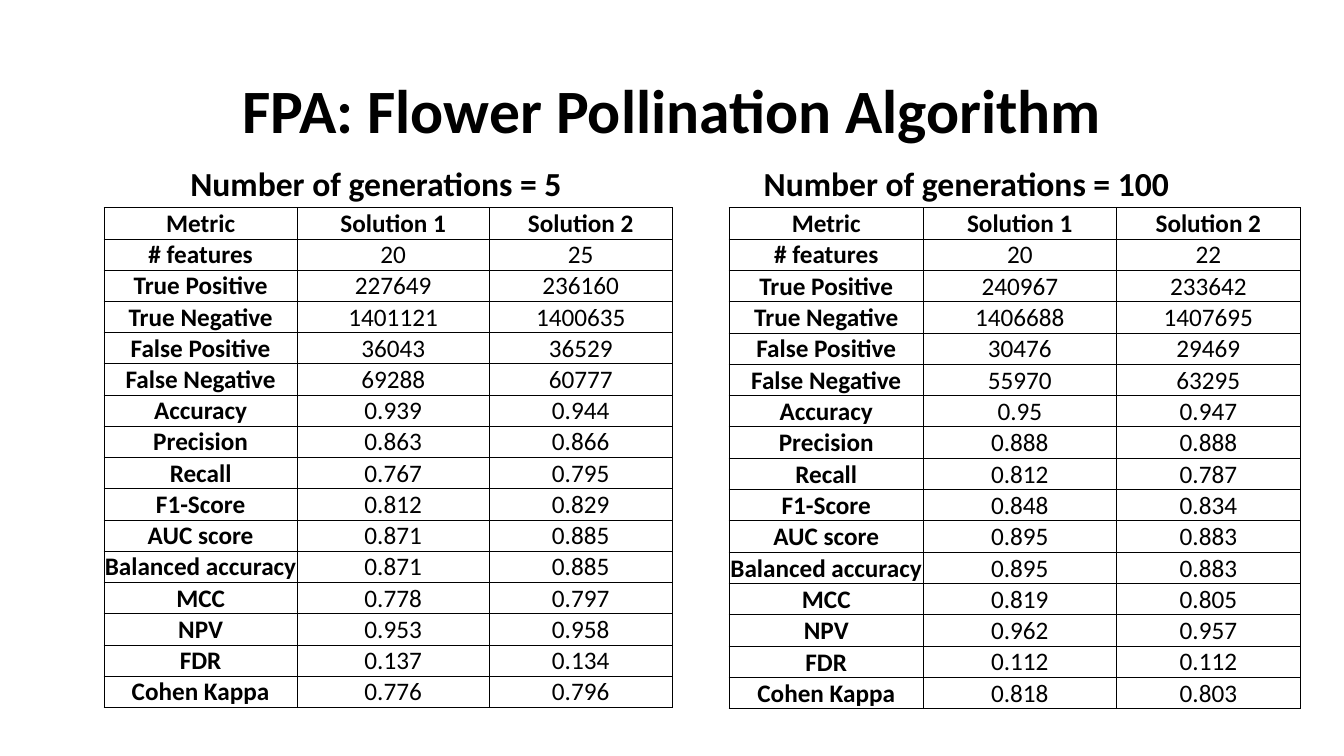
from lxml.etree import SubElement
from pptx import Presentation
from pptx.dml.color import RGBColor
from pptx.enum.text import MSO_ANCHOR, PP_ALIGN
from pptx.oxml.ns import qn
from pptx.util import Inches, Pt

METRICS = [
    "# features", "True Positive", "True Negative", "False Positive",
    "False Negative", "Accuracy", "Precision", "Recall", "F1-Score",
    "AUC score", "Balanced accuracy", "MCC", "NPV", "FDR", "Cohen Kappa",
]
FIVE_GENERATIONS = [
    ["20", "227649", "1401121", "36043", "69288", "0.939", "0.863", "0.767",
     "0.812", "0.871", "0.871", "0.778", "0.953", "0.137", "0.776"],
    ["25", "236160", "1400635", "36529", "60777", "0.944", "0.866", "0.795",
     "0.829", "0.885", "0.885", "0.797", "0.958", "0.134", "0.796"],
]
HUNDRED_GENERATIONS = [
    ["20", "240967", "1406688", "30476", "55970", "0.95", "0.888", "0.812",
     "0.848", "0.895", "0.895", "0.819", "0.962", "0.112", "0.818"],
    ["22", "233642", "1407695", "29469", "63295", "0.947", "0.888", "0.787",
     "0.834", "0.883", "0.883", "0.805", "0.957", "0.112", "0.803"],
]


def color(value):
    return RGBColor.from_string(value)


class ResultsSlide:
    """Draws headings and metric tables in one style on one slide."""

    font = "Calibri"
    ink = "000000"
    row_height = 0.31

    def __init__(self, slide):
        self.slide = slide

    def set_text(self, frame, text, size, bold):
        frame.text = text
        paragraph = frame.paragraphs[0]
        paragraph.alignment = PP_ALIGN.CENTER
        for run in paragraph.runs:
            run.font.name = self.font
            run.font.size = Pt(size)
            run.font.bold = bold
            run.font.color.rgb = color(self.ink)
        return paragraph

    def heading(self, text, left, top, width, height, size, anchor, spacing):
        box = self.slide.shapes.add_textbox(
            Inches(left), Inches(top), Inches(width), Inches(height))
        frame = box.text_frame
        frame.word_wrap = True
        frame.vertical_anchor = anchor
        self.set_text(frame, text, size, True).line_spacing = spacing

    def border(self, cell):
        properties = cell._tc.get_or_add_tcPr()
        for side in ("a:lnL", "a:lnR", "a:lnT", "a:lnB"):
            line = SubElement(properties, qn(side), w=str(Pt(0.5)))
            fill = SubElement(line, qn("a:solidFill"))
            SubElement(fill, qn("a:srgbClr"), val=self.ink)

    def metric_table(self, solutions, left, top, widths, top_margin, value_anchor):
        columns = [["Metric"] + METRICS]
        for number, values in enumerate(solutions, 1):
            columns.append([f"Solution {number}"] + values)
        row_count = len(columns[0])
        table = self.slide.shapes.add_table(
            row_count, len(columns), Inches(left), Inches(top),
            Inches(sum(widths)), Inches(self.row_height * row_count)).table
        table.first_row = False
        table.horz_banding = False
        for row in table.rows:
            row.height = Inches(self.row_height)
        for c, (entries, width) in enumerate(zip(columns, widths)):
            table.columns[c].width = Inches(width)
            for r, entry in enumerate(entries):
                cell = table.cell(r, c)
                self.border(cell)
                cell.fill.background()
                cell.margin_left = cell.margin_right = Inches(0.01)
                cell.margin_top = Pt(top_margin)
                cell.margin_bottom = 0
                if r == 0:
                    cell.vertical_anchor = MSO_ANCHOR.BOTTOM
                else:
                    cell.vertical_anchor = MSO_ANCHOR.MIDDLE if c == 0 else value_anchor
                self.set_text(cell.text_frame, entry, 18, r == 0 or c == 0)


def main():
    deck = Presentation()
    deck.slide_width = Inches(13.33)
    deck.slide_height = Inches(7.5)
    results = ResultsSlide(deck.slides.add_slide(deck.slide_layouts[6]))

    results.heading("FPA: Flower Pollination Algorithm",
                    0.92, 0.4, 11.5, 1.45, 44, MSO_ANCHOR.MIDDLE, 0.9)
    results.heading("Number of generations = 5",
                    0.91, 1.61, 5.64, 0.45, 24, MSO_ANCHOR.BOTTOM, 0.8)
    results.metric_table(FIVE_GENERATIONS, 1.03, 2.06, [1.92, 1.9, 1.82],
                         0.5, MSO_ANCHOR.MIDDLE)
    results.heading("Number of generations = 100",
                    6.75, 1.61, 5.67, 0.45, 24, MSO_ANCHOR.BOTTOM, 0.8)
    results.metric_table(HUNDRED_GENERATIONS, 7.23, 2.06, [1.93, 1.91, 1.83],
                         0.75, MSO_ANCHOR.BOTTOM)
    deck.save("out.pptx")


if __name__ == "__main__":
    main()
